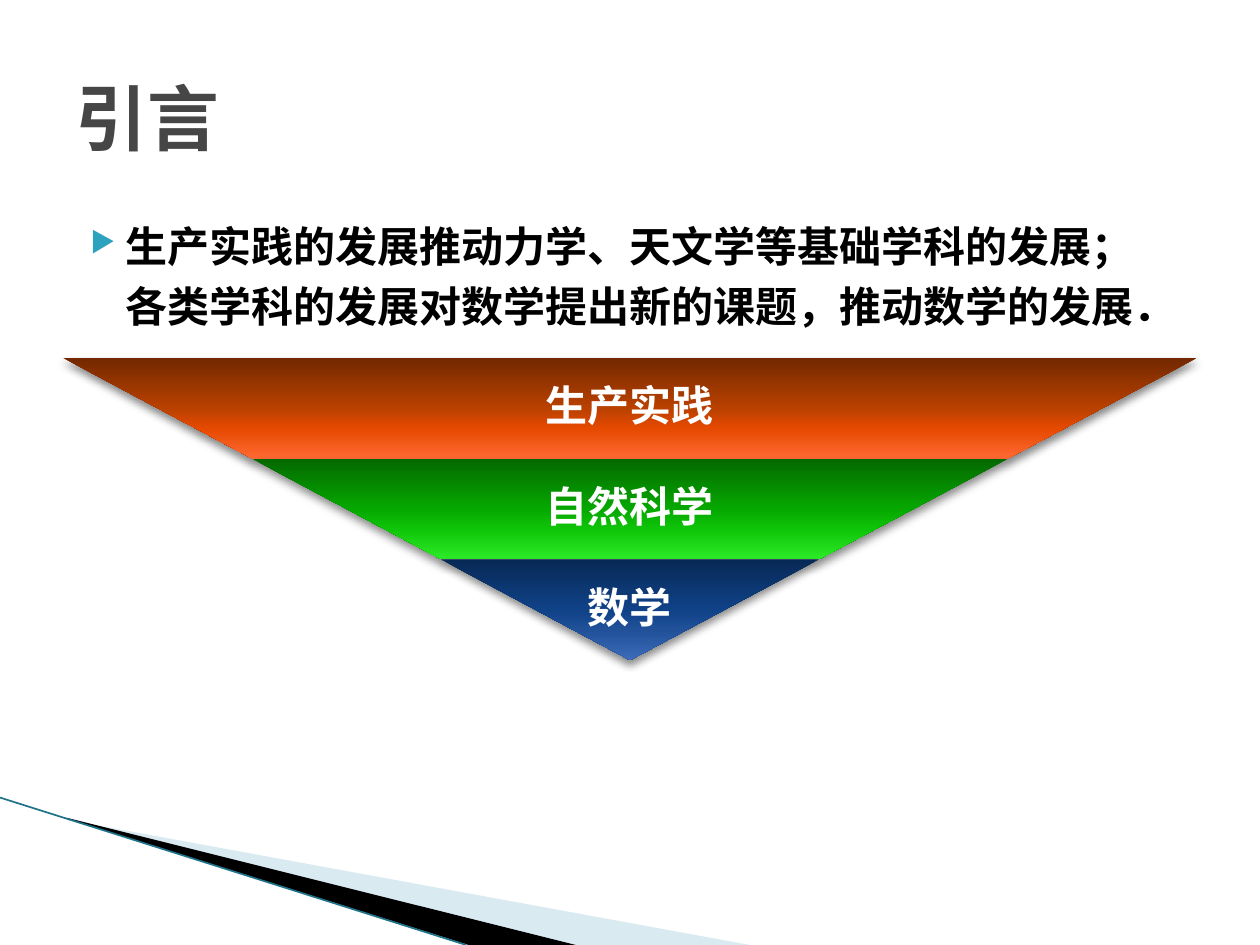
from lxml import etree
from pptx import Presentation
from pptx.dml.color import RGBColor
from pptx.enum.lang import MSO_LANGUAGE_ID
from pptx.enum.shapes import MSO_CONNECTOR, MSO_SHAPE
from pptx.enum.text import MSO_ANCHOR, PP_ALIGN
from pptx.oxml import parse_xml
from pptx.oxml.ns import nsdecls, qn
from pptx.util import Pt

PX = 9144  # 100 px to the inch
LINE = MSO_CONNECTOR.STRAIGHT
TRAP = MSO_SHAPE.TRAPEZOID
MID, TOP = MSO_ANCHOR.MIDDLE, MSO_ANCHOR.TOP
LEFT, MIDDLE = PP_ALIGN.LEFT, PP_ALIGN.CENTER
CHINESE = MSO_LANGUAGE_ID.SIMPLIFIED_CHINESE

COLORS = {
    "title": "464646", "text": "000000", "label": "FFFFFF",
    "bullet": "2DA2BF", "pale": "A0CBDC", "dark": "000000", "edge": "1F7389",
}
SERIF = {"name": "Times New Roman", "bold": True, "language_id": CHINESE}
TITLE = {**SERIF, "size": Pt(41)}
BODY = {**SERIF, "size": Pt(24)}
LABEL = {**BODY, "name": "Noto Sans Mono"}

# Label and gradient colours of each tier, from top to bottom
TIERS = [
    ("生产实践", ["732800", "B94100", "E64900", "FF6933"]),
    ("自然科学", ["046800", "06A800", "0FC509", "2DEB28"]),
    ("数学", ["072956", "104288", "205199", "3D6BB9"]),
]
STOPS = [0, 50, 70, 100]
POINTS = [
    "生产实践的发展推动力学、天文学等基础学科的发展；",
    "各类学科的发展对数学提出新的课题，推动数学的发展．",
]


def rgb(name):
    return RGBColor.from_string(COLORS[name])


def box(slide, at, inset=None, anchor=TOP):
    frame = slide.shapes.add_textbox(*(v * PX for v in at)).text_frame
    frame.word_wrap = True
    frame.vertical_anchor = anchor
    if inset is not None:
        for side in ("left", "top", "right", "bottom"):
            setattr(frame, "margin_" + side, inset * PX)
    return frame


def write(para, text, style, color, align=LEFT, space=1.0):
    para.alignment = align
    para.line_spacing = space
    run = para.add_run()
    run.text = text
    for key, value in style.items():
        setattr(run.font, key, value)
    run.font.color.rgb = rgb(color)


def indent(para, left, first):
    props = para._p.get_or_add_pPr()
    props.set("marL", str(left * PX))
    props.set("indent", str(first * PX))
    return props


def bullet(props):
    color = etree.SubElement(props, qn("a:buClr"))
    etree.SubElement(color, qn("a:srgbClr"), val=COLORS["bullet"])
    etree.SubElement(props, qn("a:buSzPct"), val="68000")
    etree.SubElement(props, qn("a:buChar"), char="▶")


def wedge(slide, points, color, alpha=None):
    start, *rest = points
    pen = slide.shapes.build_freeform(*start, scale=PX)
    pen.add_line_segments(rest, close=True)
    shape = pen.convert_to_shape()
    shape.shadow.inherit = False
    shape.line.fill.background()
    shape.fill.solid()
    shape.fill.fore_color.rgb = rgb(color)
    if alpha:
        tint = shape.fill._xPr.find(".//" + qn("a:srgbClr"))
        etree.SubElement(tint, qn("a:alpha"), val=str(alpha * 1000))


def edge(slide, start, end):
    line = slide.shapes.add_connector(LINE, *(v * PX for v in start + end))
    line.line.color.rgb = rgb("edge")
    line.line.width = Pt(0.95)
    etree.SubElement(line._element.spPr, qn("a:effectLst"))


def shade(shape, colors):
    """Fill with a four-stop gradient and cast a soft shadow downwards."""
    stops = "".join(
        f'<a:gs pos="{pos * 1000}"><a:srgbClr val="{color}"/></a:gs>'
        for pos, color in zip(STOPS, colors))
    fill = parse_xml(
        f'<a:gradFill {nsdecls("a")} rotWithShape="1"><a:gsLst>{stops}</a:gsLst>'
        '<a:lin ang="16200000" scaled="0"/></a:gradFill>')
    shadow = parse_xml(
        f'<a:effectLst {nsdecls("a")}><a:outerShdw blurRad="{Pt(5)}" '
        f'dist="{Pt(3)}" dir="5400000" rotWithShape="0"><a:srgbClr val="000000">'
        '<a:alpha val="45000"/></a:srgbClr></a:outerShdw></a:effectLst>')
    shape.line.fill.background()
    props = shape._element.spPr
    props.find(qn("a:prstGeom")).addnext(fill)
    props.append(shadow)


def tier(slide, at, text, colors):
    left, top, width, height = at
    shape = slide.shapes.add_shape(TRAP, *(v * PX for v in at))
    shape.rotation = 180
    shape.adjustments[0] = 1.88
    shade(shape, colors)
    # The label keeps to the middle of the tier
    span = max(300, round(width * 0.65))
    place = (left + (width - span) // 2, top, span, height)
    frame = box(slide, place, 3, MID)
    write(frame.paragraphs[0], text, LABEL, "label", MIDDLE, 0.9)


def main():
    deck = Presentation()
    deck.slide_width, deck.slide_height = 1000 * PX, 750 * PX
    slide = deck.slides.add_slide(deck.slide_layouts[6])

    # Corner decoration
    wedge(slide, [(55, 651), (595, 750), (456, 750), (55, 650)], "pale", 40)
    wedge(slide, [(53, 649), (457, 750), (372, 750), (54, 650)], "dark")
    edge(slide, (0, 633), (370, 750))

    # Title and body text
    frame = box(slide, (50, 30, 900, 125), anchor=MID)
    write(frame.paragraphs[0], "引言", TITLE, "title")
    frame = box(slide, (50, 162, 900, 110))
    first, second = frame.paragraphs[0], frame.add_paragraph()
    for para, text in zip((first, second), POINTS):
        write(para, text, BODY, "text", space=1.2)
    bullet(indent(first, 40, -28))
    indent(second, 40, 0)

    # Inverted pyramid, each tier narrower by the same step
    high, step = 80, 300
    for row, (text, colors) in enumerate(TIERS):
        width = 900 - row * step
        at = (500 - width // 2, 284 + row * high, width, high)
        tier(slide, at, text, colors)

    deck.save("out.pptx")


if __name__ == "__main__":
    main()
